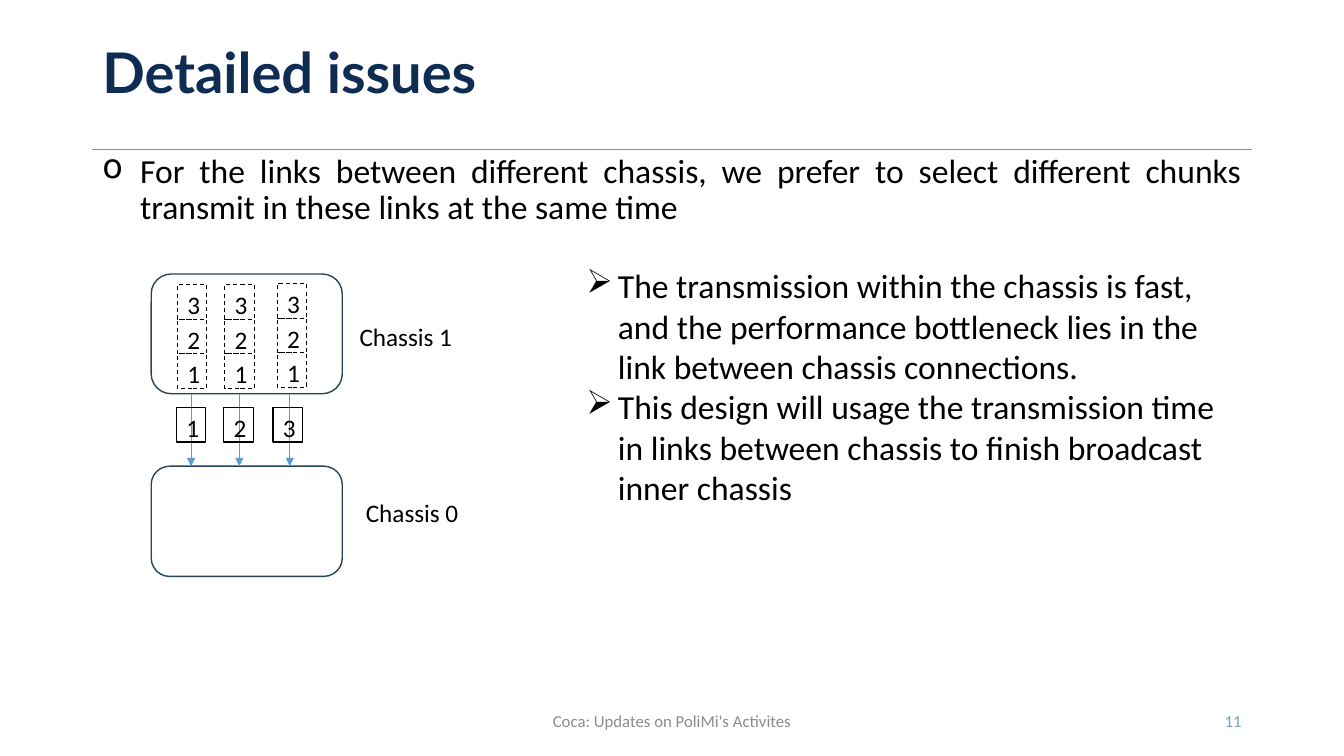
from lxml import etree
from pptx import Presentation
from pptx.dml.color import RGBColor
from pptx.enum.dml import MSO_LINE
from pptx.enum.shapes import MSO_CONNECTOR, MSO_SHAPE
from pptx.enum.text import MSO_ANCHOR, MSO_AUTO_SIZE, PP_ALIGN
from pptx.oxml.ns import qn
from pptx.util import Pt

RECT, ROUNDED = MSO_SHAPE.RECTANGLE, MSO_SHAPE.ROUNDED_RECTANGLE
STRAIGHT = MSO_CONNECTOR.STRAIGHT
DASH = MSO_LINE.DASH
TOP, MIDDLE = MSO_ANCHOR.TOP, MSO_ANCHOR.MIDDLE
LEFT, CENTER, RIGHT, JUSTIFY = (
    PP_ALIGN.LEFT, PP_ALIGN.CENTER, PP_ALIGN.RIGHT, PP_ALIGN.JUSTIFY)

EMU_PER_PX = 9525
COLORS = {
    "title": "0F2C53", "text": "000000", "footer": "8C8C8C", "number": "6DA4BB",
    "link": "5B9BD5", "chassis": "28445D", "chunk": "000000",
}


def px(*lengths):
    return [n * EMU_PER_PX for n in lengths]


def rgb(name):
    return RGBColor.from_string(COLORS[name])


class SlideBuilder:
    def __init__(self, slide, font="Calibri"):
        self.shapes = slide.shapes
        self.font = font

    def fill_text(self, tf, paragraphs, size, color="text", align=LEFT, anchor=TOP,
                  font=None, bold=False):
        tf.word_wrap = True
        tf.auto_size = MSO_AUTO_SIZE.NONE
        tf.vertical_anchor = anchor
        tf.text = "\n".join(paragraphs)
        for p in tf.paragraphs:
            p.alignment = align
            p.font.name = font or self.font
            p.font.size = Pt(size)
            p.font.bold = bold
            p.font.color.rgb = rgb(color)

    def title(self, text, box):
        sp = self.shapes.title
        sp.left, sp.top, sp.width, sp.height = px(*box)
        self.fill_text(sp.text_frame, [text], 40, "title", anchor=MIDDLE,
                       font="Lato", bold=True)
        sp.text_frame.paragraphs[0].line_spacing = 0.9

    def text(self, box, *paragraphs, size=18, **style):
        tf = self.shapes.add_textbox(*px(*box)).text_frame
        self.fill_text(tf, paragraphs, size, **style)
        return tf

    def bullets(self, box, char, indent, *paragraphs, **style):
        tf = self.text(box, *paragraphs, size=24, **style)
        for p in tf.paragraphs:
            pPr = p._p.get_or_add_pPr()
            pPr.set("marL", str(indent * EMU_PER_PX))
            pPr.set("indent", str(-indent * EMU_PER_PX))
            bullet = etree.Element(qn("a:buChar"), char=char)
            pPr.insert_element_before(bullet, "a:tabLst", "a:defRPr", "a:extLst")
        return tf

    def outline(self, kind, box, color, width, dash=None):
        sp = self.shapes.add_shape(kind, *px(*box))
        sp.shadow.inherit = False
        sp.fill.background()
        sp.line.color.rgb = rgb(color)
        sp.line.width = Pt(width)
        sp.line.dash_style = dash
        return sp

    def chunk(self, x, y, number, dash=None):
        sp = self.outline(RECT, (x, y, 28, 33), "chunk", 0.75, dash)
        self.fill_text(sp.text_frame, [str(number)], 18)

    def line(self, x1, y1, x2, y2, arrow=False):
        cx = self.shapes.add_connector(STRAIGHT, *px(x1, y1, x2, y2))
        cx.line.color.rgb = rgb("link")
        cx.line.width = Pt(0.5)
        if arrow:
            etree.SubElement(cx.get_or_add_ln(), qn("a:tailEnd"), type="triangle")
        etree.SubElement(cx._element.spPr, qn("a:effectLst"))


def main():
    prs = Presentation()
    prs.slide_width, prs.slide_height = px(1280, 720)
    title_only = prs.slide_layouts[5]
    s = SlideBuilder(prs.slides.add_slide(title_only))

    s.line(88, 142, 1192, 142)
    s.title("Detailed issues", (88, 2, 1104, 139))
    intro = s.bullets(
        (88, 142, 1104, 76), "o", 36,
        "For the links between different chassis, we prefer to select different "
        "chunks transmit in these links at the same time", align=JUSTIFY)
    p = intro.paragraphs[0]
    p.line_spacing = 0.9
    p.space_before = p.space_after = Pt(10)

    s.text((424, 667, 432, 38), "Coca: Updates on PoliMi's Activites", size=12,
           color="footer", align=CENTER, anchor=MIDDLE)
    s.text((904, 667, 288, 38), "11", size=12,
           color="number", align=RIGHT, anchor=MIDDLE)

    s.outline(ROUNDED, (144, 261, 182, 114), "chassis", 1)
    s.outline(ROUNDED, (144, 444, 182, 105), "chassis", 1)
    s.text((333, 301, 109, 33), "Chassis 1")
    s.text((339, 469, 109, 33), "Chassis 0")

    # Each link: arrow x, stack x, stack top, x of the chunk being sent
    links = [(182, 169, 271, 168), (228, 214, 271, 213), (276, 264, 270, 260)]
    for sent, (arrow_x, stack_x, stack_y, sent_x) in enumerate(links, start=1):
        s.line(arrow_x, 375, arrow_x, 444, arrow=True)
        for row, number in enumerate((3, 2, 1)):
            s.chunk(stack_x, stack_y + row * 33, number, DASH)
        s.chunk(sent_x, 388, sent)

    s.bullets(
        (549, 248, 643, 242), "➢", 30,
        "The transmission within the chassis is fast, and the performance "
        "bottleneck lies in the link between chassis connections.",
        "This design will usage the transmission time in links between chassis "
        "to finish broadcast inner chassis")

    prs.save("out.pptx")


if __name__ == "__main__":
    main()
